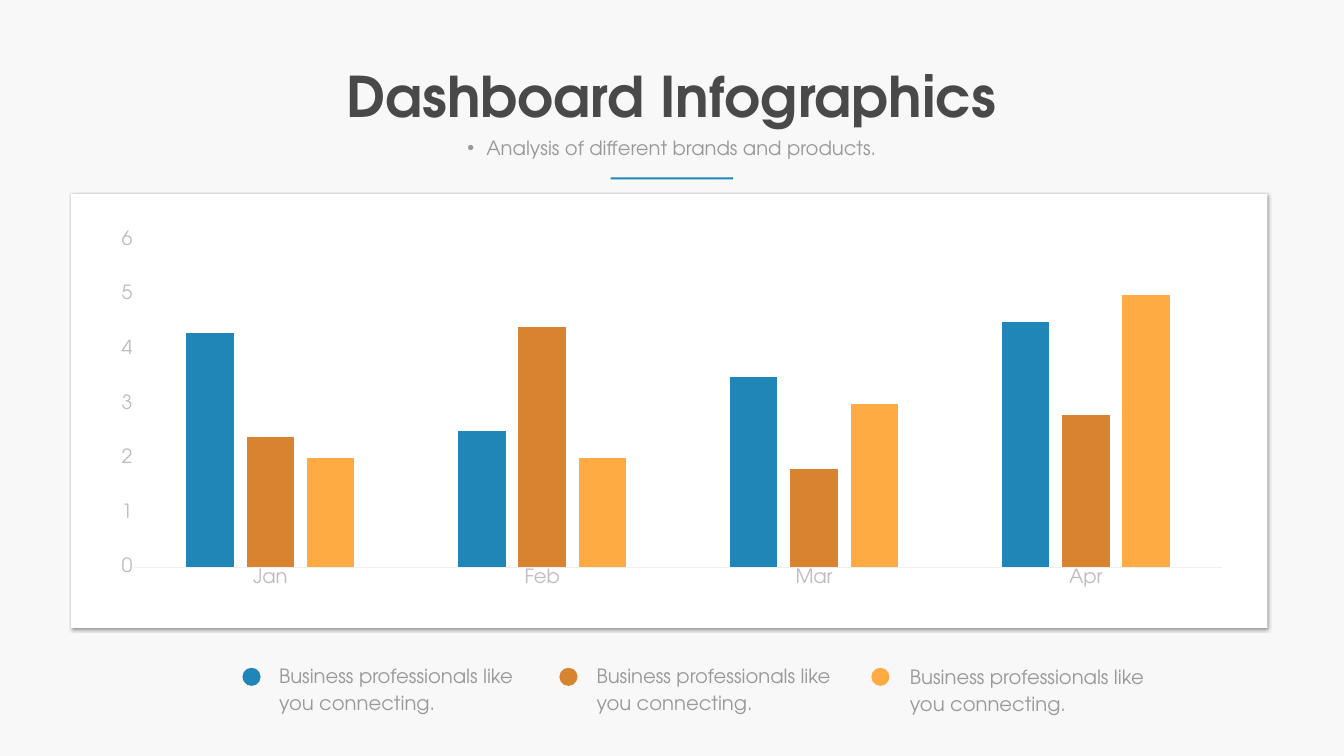
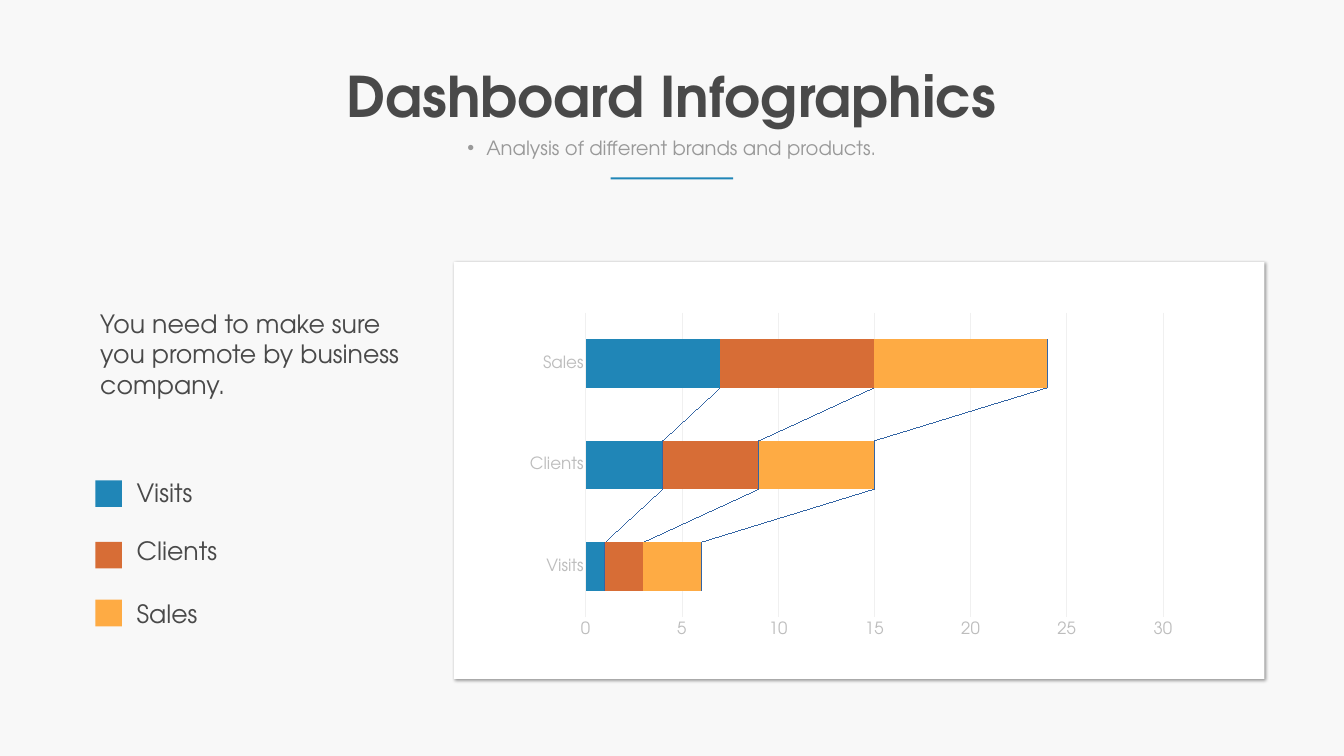
"""Build two dashboard slides: a clustered column chart and a stacked bar chart."""
from dataclasses import dataclass
from typing import Any, Optional

from pptx import Presentation
from pptx.chart.data import CategoryChartData
from pptx.dml.color import RGBColor
from pptx.enum.chart import XL_CHART_TYPE, XL_TICK_MARK
from pptx.enum.shapes import MSO_SHAPE
from pptx.enum.text import MSO_ANCHOR, MSO_AUTO_SIZE, PP_ALIGN
from pptx.oxml import parse_xml
from pptx.oxml.ns import nsdecls
from pptx.util import Inches, Pt

WIDTH, HEIGHT = Inches(26.67), Inches(15)
COLUMN, ROW = WIDTH / 100, HEIGHT / 100

FONT = "TeX Gyre Adventor"
BACKGROUND = RGBColor(0xF8, 0xF8, 0xF8)
WHITE = RGBColor(0xFF, 0xFF, 0xFF)
INK = RGBColor(0x49, 0x49, 0x49)
GREY = RGBColor(0x99, 0x99, 0x99)
AXIS_GREY = RGBColor(0xBD, 0xBD, 0xBD)
HAIRLINE = RGBColor(0xF0, 0xF0, 0xF0)
BLUE = RGBColor(0x20, 0x86, 0xB7)
OCHRE = RGBColor(0xD7, 0x83, 0x30)
RUST = RGBColor(0xD7, 0x6D, 0x36)
AMBER = RGBColor(0xFE, 0xAB, 0x44)

SHADOW = (
    f'<a:effectLst {nsdecls("a")}><a:outerShdw blurRad="50800" dist="38100" dir="2700000" '
    'algn="tl" rotWithShape="0"><a:srgbClr val="000000"><a:alpha val="40000"/></a:srgbClr>'
    "</a:outerShdw></a:effectLst>"
)
SERIES_LINES = (
    f'<c:serLines {nsdecls("c", "a")}><c:spPr><a:ln w="9525"><a:solidFill>'
    '<a:srgbClr val="F0F0F0"/></a:solidFill></a:ln></c:spPr></c:serLines>'
)


@dataclass(frozen=True)
class Box:
    """A rectangle in columns and rows, each a hundredth of the slide."""
    left: float
    top: float
    width: float
    height: float

    def emu(self) -> dict[str, int]:
        """Return the rectangle as position values in EMU."""
        return {
            "left": round(self.left * COLUMN), "top": round(self.top * ROW),
            "width": round(self.width * COLUMN), "height": round(self.height * ROW),
        }


@dataclass(frozen=True)
class TextStyle:
    """Format values of a text."""
    size: float
    color: RGBColor
    bold: bool = False
    align: PP_ALIGN = PP_ALIGN.LEFT
    line_spacing: Optional[float] = None
    wrap: bool = True


@dataclass(frozen=True)
class LegendEntry:
    """A coloured marker and its label."""
    marker: Box
    label: Box
    text: str
    color: RGBColor


@dataclass(frozen=True)
class ChartSpec:
    """Data and format of one bar chart."""
    kind: XL_CHART_TYPE
    box: Box
    categories: tuple[str, ...]
    values: tuple[tuple[float, ...], ...]
    colors: tuple[RGBColor, ...]
    gap: int
    overlap: int
    label_size: float
    maximum: float
    unit: float
    gridlines: bool = False
    series_lines: bool = False


TITLE = TextStyle(80, INK, bold=True, align=PP_ALIGN.CENTER, wrap=False)
SUBTITLE = TextStyle(28, GREY, align=PP_ALIGN.CENTER)
CAPTION = TextStyle(28, GREY, line_spacing=38.6)
STATEMENT = TextStyle(36, INK)

MONTHLY = ChartSpec(
    XL_CHART_TYPE.COLUMN_CLUSTERED, Box(7.35, 29.6, 85.26, 49.07),
    ("Jan", "Feb", "Mar", "Apr"),
    ((4.3, 2.5, 3.5, 4.5), (2.4, 4.4, 1.8, 2.8), (2, 2, 3, 5)),
    (BLUE, OCHRE, AMBER), gap=219, overlap=-27, label_size=28, maximum=6, unit=1,
)
FUNNEL = ChartSpec(
    XL_CHART_TYPE.BAR_STACKED, Box(38.43, 40.47, 49.79, 44.8),
    ("Visits", "Clients", "Sales"), ((1, 4, 7), (2, 5, 8), (3, 6, 9)),
    (BLUE, RUST, AMBER), gap=110, overlap=100, label_size=24, maximum=30, unit=5,
    gridlines=True, series_lines=True,
)
MONTHLY_LEGEND = [
    LegendEntry(Box(dot, 88.33, 1.35, 2.4), Box(label, top, 18.34, 7.87),
                "Business professionals like you connecting.", color)
    for dot, label, top, color in (
        (18.04, 20.4, 87.07, BLUE), (41.62, 44.02, 87.07, OCHRE), (64.83, 67.34, 87.13, AMBER))
]
FUNNEL_LEGEND = [
    LegendEntry(Box(7.09, swatch, 1.99, 3.53), Box(9.79, label, 11.17, 4.73), text, color)
    for swatch, label, text, color in (
        (63.53, 62.87, "Visits", BLUE), (71.67, 70.47, "Clients", RUST),
        (79.33, 78.8, "Sales", AMBER))
]


def apply_format(target: Any, values: dict[str, Any]) -> None:
    """Set each attribute of target from a dict."""
    for attribute, value in values.items():
        setattr(target, attribute, value)


def format_font(font: Any, size: float, color: RGBColor, bold: bool = False) -> None:
    """Give a font its face, size, weight and colour."""
    apply_format(font, {"name": FONT, "size": Pt(size), "bold": bold})
    font.color.rgb = color


def write_text(holder: Any, text: str, style: TextStyle) -> None:
    """Write one styled paragraph into a text box or placeholder."""
    frame = holder.text_frame
    apply_format(frame, {
        "text": text, "word_wrap": style.wrap, "auto_size": MSO_AUTO_SIZE.NONE,
        "vertical_anchor": MSO_ANCHOR.TOP,
    })
    paragraph = frame.paragraphs[0]
    apply_format(paragraph, {
        "alignment": style.align, "space_before": Pt(0),
        "line_spacing": Pt(style.line_spacing) if style.line_spacing else None,
    })
    format_font(paragraph.runs[0].font, style.size, style.color, style.bold)


def add_text(slide: Any, box: Box, text: str, style: TextStyle) -> None:
    """Add a text box."""
    write_text(slide.shapes.add_textbox(**box.emu()), text, style)


def add_block(slide: Any, box: Box, color: RGBColor,
              kind: MSO_SHAPE = MSO_SHAPE.RECTANGLE) -> Any:
    """Add a filled shape with neither outline nor shadow."""
    block = slide.shapes.add_shape(kind, **box.emu())
    block.shadow.inherit = False
    block.fill.solid()
    block.fill.fore_color.rgb = color
    block.line.fill.background()
    return block


def add_panel(slide: Any, box: Box) -> None:
    """Add the white card with its soft shadow."""
    properties = add_block(slide, box, WHITE).element.spPr
    properties.remove(properties.find("{*}effectLst"))
    properties.append(parse_xml(SHADOW))


def add_legend(slide: Any, entries: list[LegendEntry], kind: MSO_SHAPE,
               style: TextStyle) -> None:
    """Add the markers and labels of a legend."""
    for entry in entries:
        add_block(slide, entry.marker, entry.color, kind)
        add_text(slide, entry.label, entry.text, style)


def format_line(line: Any) -> None:
    """Make a chart line a pale hairline."""
    line.color.rgb = HAIRLINE
    line.width = Pt(0.75)


def add_bars(slide: Any, spec: ChartSpec) -> None:
    """Add a bar chart with its axes and series formatted."""
    data = CategoryChartData()
    data.categories = spec.categories
    for number, values in enumerate(spec.values, 1):
        data.add_series(f"Series {number}", values)
    chart = slide.shapes.add_chart(spec.kind, chart_data=data, **{
        {"left": "x", "top": "y", "width": "cx", "height": "cy"}[side]: length
        for side, length in spec.box.emu().items()}).chart
    apply_format(chart, {"has_legend": False, "has_title": False})
    format_font(chart.font, 18, GREY)

    plot = chart.plots[0]
    apply_format(plot, {
        "gap_width": spec.gap, "overlap": spec.overlap, "vary_by_categories": False})
    for series, color in zip(plot.series, spec.colors):
        series.format.fill.solid()
        series.format.fill.fore_color.rgb = color
        series.invert_if_negative = False
    if spec.series_lines:
        chart.element.xpath(".//c:overlap")[0].addnext(parse_xml(SERIES_LINES))

    category_axis, value_axis = chart.category_axis, chart.value_axis
    for axis in (category_axis, value_axis):
        apply_format(axis, {
            "major_tick_mark": XL_TICK_MARK.NONE, "minor_tick_mark": XL_TICK_MARK.NONE,
            "has_major_gridlines": False})
        format_font(axis.tick_labels.font, spec.label_size, AXIS_GREY)
    format_line(category_axis.format.line)
    value_axis.format.line.fill.background()
    apply_format(value_axis, {
        "minimum_scale": 0, "maximum_scale": spec.maximum, "major_unit": spec.unit,
        "has_major_gridlines": spec.gridlines})
    if spec.gridlines:
        value_axis.major_tick_mark = XL_TICK_MARK.OUTSIDE
        format_line(value_axis.major_gridlines.format.line)


def add_dashboard(deck: Any, panel: Box, spec: ChartSpec) -> Any:
    """Add a slide with the shared heading, a panel and its chart."""
    slide = deck.slides.add_slide(deck.slide_layouts[1])
    slide.background.fill.solid()
    slide.background.fill.fore_color.rgb = BACKGROUND

    heading, subheading = slide.placeholders
    apply_format(heading, Box(25.08, 7.8, 49.76, 9.67).emu())
    write_text(heading, "Dashboard Infographics", TITLE)
    apply_format(subheading, Box(32.06, 17.67, 35.85, 3.8).emu())
    subheading_format = subheading.text_frame.paragraphs[0]._p.get_or_add_pPr()
    for indent in ("marL", "indent"):
        subheading_format.set(indent, "0")
    subheading_format.append(parse_xml(f'<a:buNone {nsdecls("a")}/>'))
    write_text(subheading, "Analysis of different brands and products.", SUBTITLE)

    add_block(slide, Box(45.44, 23.47, 9.11, 0.27), BLUE)
    add_panel(slide, panel)
    add_bars(slide, spec)
    return slide


def main() -> None:
    """Build and save the presentation."""
    deck = Presentation()
    apply_format(deck, {"slide_width": WIDTH, "slide_height": HEIGHT})

    monthly = add_dashboard(deck, Box(5.29, 25.67, 89.01, 57.4), MONTHLY)
    add_legend(monthly, MONTHLY_LEGEND, MSO_SHAPE.OVAL, CAPTION)

    funnel = add_dashboard(deck, Box(33.78, 34.67, 60.29, 55.13), FUNNEL)
    add_text(funnel, Box(7.09, 40.47, 23.85, 12.8),
             "You need to make sure you promote by business company.", STATEMENT)
    add_legend(funnel, FUNNEL_LEGEND, MSO_SHAPE.RECTANGLE, STATEMENT)

    deck.save("out.pptx")


if __name__ == "__main__":
    main()
